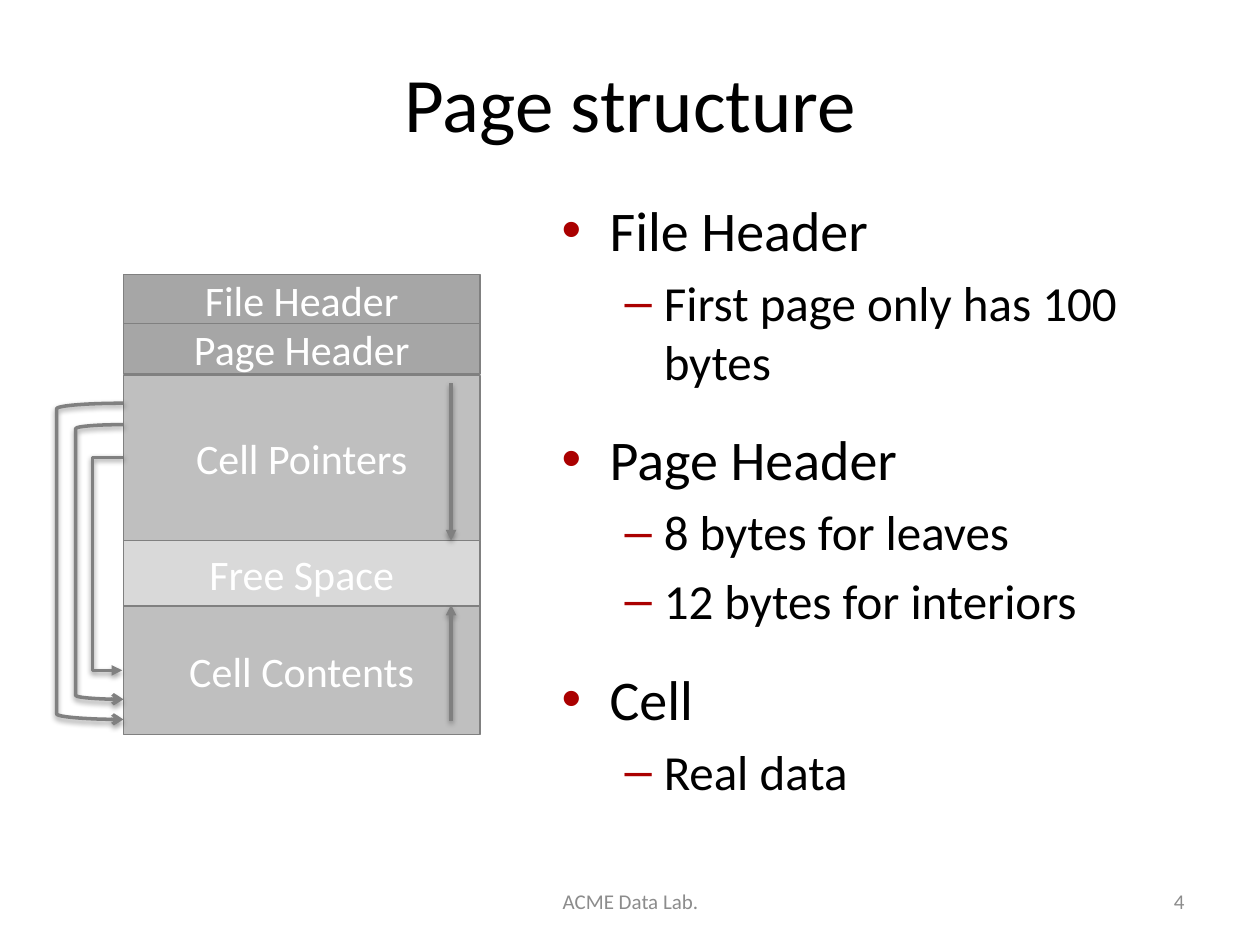
from dataclasses import dataclass

from lxml.etree import SubElement
from pptx import Presentation
from pptx.dml.color import RGBColor
from pptx.enum.shapes import MSO_CONNECTOR as Link, MSO_SHAPE as Preset
from pptx.enum.text import MSO_ANCHOR as Anchor, PP_ALIGN as Align
from pptx.oxml.ns import qn
from pptx.util import Inches, Pt


@dataclass(frozen=True)
class Theme:
    font: str = "Calibri"
    ink: str = "000000"
    muted: str = "8C8C8C"
    accent: str = "AA0000"
    light_text: str = "FFFFFF"
    outline: str = "808080"
    header: str = "A6A6A6"
    cells: str = "BFBFBF"
    free: str = "D9D9D9"
    title_size: float = 44
    label_size: float = 24
    footer_size: float = 12
    thin: float = 0.75
    thick: float = 2


THEME = Theme()

# Per outline level: text size, space before, left margin, hanging indent, bullet
LEVELS = [
    dict(size=32, before=20, margin=0.38, hang=0.38, bullet="•"),
    dict(size=28, before=5.6, margin=0.81, hang=0.31, bullet="–"),
]
OUTLINE = [
    (0, "File Header"),
    (1, "First page only has 100 bytes"),
    (0, "Page Header"),
    (1, "8 bytes for leaves"),
    (1, "12 bytes for interiors"),
    (0, "Cell"),
    (1, "Real data"),
]
# Label, fill, top offset and height within the diagram
BLOCKS = [
    ("File Header", THEME.header, 0, 0.4),
    ("Page Header", THEME.header, 0.39, 0.4),
    ("Cell Pointers", THEME.cells, 0.8, 1.31),
    ("Free Space", THEME.free, 2.11, 0.52),
    ("Cell Contents", THEME.cells, 2.63, 1.02),
]


def inches(*values):
    return [Inches(value) for value in values]


def write(para, text, size, color, align=Align.LEFT):
    para.alignment = align
    span = para.add_run()
    span.text = text
    formats = dict(name=THEME.font, size=Pt(size))
    for name, value in formats.items():
        setattr(span.font, name, value)
    span.font.color.rgb = RGBColor.from_string(color)


def set_line(shape, width):
    shape.line.color.rgb = RGBColor.from_string(THEME.outline)
    shape.line.width = Pt(width)


def add_arrowhead(shape, end, kind):
    line = shape._element.spPr.find(qn("a:ln"))
    SubElement(line, qn(f"a:{end}"), type=kind)


def add_shadow(shape):
    effects = SubElement(shape._element.spPr, qn("a:effectLst"))
    shadow = SubElement(effects, qn("a:outerShdw"), blurRad="40000",
                        dist="20000", dir="5400000", rotWithShape="0")
    color = SubElement(shadow, qn("a:srgbClr"), val="000000")
    SubElement(color, qn("a:alpha"), val="38000")


def add_title(page, box, text):
    title = page.shapes.title
    for name, value in zip(("left", "top", "width", "height"), inches(*box)):
        setattr(title, name, value)
    title.text_frame.vertical_anchor = Anchor.MIDDLE
    write(title.text_frame.paragraphs[0], text, THEME.title_size, THEME.ink,
          Align.CENTER)


def add_bullet(para, margin, hang, bullet):
    props = para._p.get_or_add_pPr()
    props.set("marL", str(Inches(margin)))
    props.set("indent", str(-Inches(hang)))
    color = SubElement(props, qn("a:buClr"))
    SubElement(color, qn("a:srgbClr"), val=THEME.accent)
    SubElement(props, qn("a:buFont"), typeface="Arial")
    SubElement(props, qn("a:buChar"), char=bullet)


def add_outline(page, box, items):
    frame = page.shapes.add_textbox(*inches(*box)).text_frame
    frame.word_wrap = True
    for index, (level, text) in enumerate(items):
        para = frame.add_paragraph() if index else frame.paragraphs[0]
        style = LEVELS[level]
        para.level = level
        para.space_before = Pt(style["before"])
        write(para, text, style["size"], THEME.ink)
        add_bullet(para, style["margin"], style["hang"], style["bullet"])


def add_footer(page, box, text, align):
    frame = page.shapes.add_textbox(*inches(*box)).text_frame
    frame.word_wrap = True
    frame.vertical_anchor = Anchor.MIDDLE
    write(frame.paragraphs[0], text, THEME.footer_size, THEME.muted, align)


def add_block(page, box, text, fill):
    block = page.shapes.add_shape(Preset.RECTANGLE, *inches(*box))
    block.shadow.inherit = False
    block.fill.solid()
    block.fill.fore_color.rgb = RGBColor.from_string(fill)
    set_line(block, THEME.thin)
    block.text_frame.word_wrap = True
    block.text_frame.vertical_anchor = Anchor.MIDDLE
    write(block.text_frame.paragraphs[0], text, THEME.label_size,
          THEME.light_text, Align.CENTER)


def add_arrow(page, kind, start, end):
    arrow = page.shapes.add_connector(kind, *inches(*start, *end))
    set_line(arrow, THEME.thick)
    add_arrowhead(arrow, "tailEnd", "triangle")
    add_shadow(arrow)
    return arrow


def add_pointer_elbow(page, right, top, bottom, reach):
    """Arrow that leaves to the left by reach and comes back lower down."""
    step = 0.01
    elbow = add_arrow(page, Link.ELBOW, (right, top), (right - step, bottom))
    guides = elbow._element.spPr.find(qn("a:prstGeom")).find(qn("a:avLst"))
    ratio = round(reach / step * 100000)
    SubElement(guides, qn("a:gd"), name="adj1", fmla=f"val {ratio}")


def add_pointer_bracket(page, box):
    bracket = page.shapes.add_shape(Preset.LEFT_BRACKET, *inches(*box))
    bracket.fill.background()
    set_line(bracket, THEME.thick)
    add_arrowhead(bracket, "headEnd", "arrow")
    add_shadow(bracket)


def add_page_diagram(page, box):
    left, top, width, height = box
    for text, fill, offset, block_height in BLOCKS:
        add_block(page, (left, top + offset, width, block_height), text, fill)
    growth = left + 2.6
    for start, end in ((0.86, 2.11), (height - 0.11, 2.62)):
        add_arrow(page, Link.STRAIGHT, (growth, top + start),
                  (growth, top + end))
    add_pointer_elbow(page, left, top + 1.45, top + 3.14, 0.25)
    for reach, offset, span in ((0.38, 1.19, 2.18), (0.53, 1.02, 2.51)):
        add_pointer_bracket(page, (left - reach, top + offset, reach, span))


def main():
    deck = Presentation()
    deck.slide_width, deck.slide_height = inches(10, 7.5)
    page = deck.slides.add_slide(deck.slide_layouts[5])
    add_title(page, (0.67, 0.3, 8.67, 1.02), "Page structure")
    add_outline(page, (4.36, 1.5, 5.21, 5.24), OUTLINE)
    add_footer(page, (3.42, 6.95, 3.17, 0.4), "ACME Data Lab.", Align.CENTER)
    add_footer(page, (7.17, 6.95, 2.33, 0.4), "4", Align.RIGHT)
    add_page_diagram(page, (0.98, 2.18, 2.83, 3.65))
    deck.save("out.pptx")


if __name__ == "__main__":
    main()
